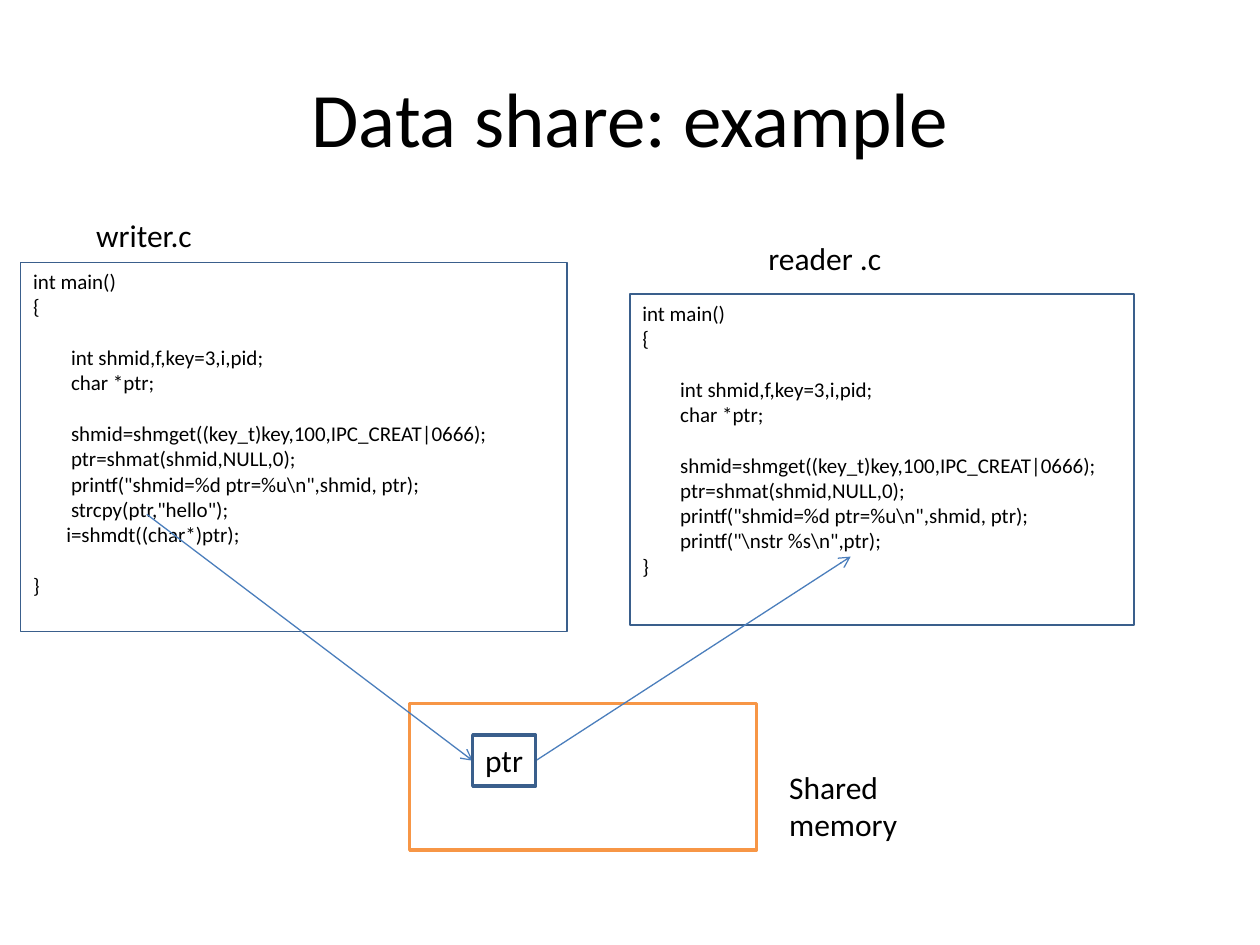
from dataclasses import dataclass

from lxml.etree import SubElement
from pptx import Presentation
from pptx.dml.color import RGBColor
from pptx.enum.shapes import MSO_CONNECTOR, MSO_SHAPE
from pptx.enum.text import MSO_ANCHOR, PP_ALIGN
from pptx.oxml.ns import qn
from pptx.util import Cm, Pt


@dataclass(frozen=True)
class Theme:
    font: str = "Calibri"
    ink: str = "000000"
    paper: str = "FFFFFF"
    frame: str = "3A5F8C"
    memory: str = "F79646"
    arrow: str = "4B7EBC"
    title_size: int = 44
    label_size: int = 18
    code_size: int = 12
    blank_line: float = 14.65
    thin: float = 0.75
    thick: float = 2


THEME = Theme()

# Content: an empty string marks a blank line of code
TITLE = "Data share: example"
COMMON_CODE = [
    "int main()",
    "{",
    "",
    "        int shmid,f,key=3,i,pid;",
    "        char *ptr;",
    "",
    "        shmid=shmget((key_t)key,100,IPC_CREAT|0666);",
    "        ptr=shmat(shmid,NULL,0);",
    '        printf("shmid=%d ptr=%u\\n",shmid, ptr);',
]
WRITER_CODE = COMMON_CODE + [
    '        strcpy(ptr,"hello");',
    "       i=shmdt((char*)ptr);",
    "",
    "}",
]
READER_CODE = COMMON_CODE + ['        printf("\\nstr %s\\n",ptr);', "}"]

# Places in centimetres: left, top, width, height
TITLE_AREA = (1.27, 0.76, 22.86, 3.18)
PROGRAMS = [
    (WRITER_CODE, (0.42, 5.29, 11.01, 7.44)),
    (READER_CODE, (12.7, 5.93, 10.16, 6.67)),
]
FILE_LABELS = [
    ("writer.c", (1.69, 4.23, 4.23, 1.03)),
    ("reader .c", (15.24, 4.7, 4.23, 1.03)),
]
MEMORY_AREA = (8.26, 14.18, 6.99, 2.96)
MEMORY_LABEL = ("Shared memory", (15.66, 15.35, 3.81, 1.8))
POINTER_AREA = (9.53, 14.82, 1.27, 1.03)
POINTER_LABEL = ("ptr", (9.53, 14.82, 3.18, 1.03))
WRITE_START = (2.96, 10.37)
READ_END = (17.15, 11.22)


def color(value):
    return RGBColor.from_string(value)


def write(shape, lines, size=THEME.label_size, align=PP_ALIGN.LEFT, anchor=MSO_ANCHOR.TOP):
    """Fill a shape with lines; blank lines become space before the next line."""
    frame = shape.text_frame
    frame.word_wrap = True
    frame.vertical_anchor = anchor
    para, gap = None, 0
    for line in lines:
        if not line:
            gap += THEME.blank_line
            continue
        para = frame.add_paragraph() if para else frame.paragraphs[0]
        para.alignment = align
        if gap:
            para.space_before = Pt(gap)
        span = para.add_run()
        span.text = line
        span.font.name = THEME.font
        span.font.size = Pt(size)
        span.font.color.rgb = color(THEME.ink)
        gap = 0


def add_label(page, text, area):
    write(page.shapes.add_textbox(*map(Cm, area)), [text])


def add_box(page, area, line, width, fill=None):
    box = page.shapes.add_shape(MSO_SHAPE.RECTANGLE, *map(Cm, area))
    box.shadow.inherit = False
    if fill:
        box.fill.solid()
        box.fill.fore_color.rgb = color(fill)
    else:
        box.fill.background()
    box.line.color.rgb = color(line)
    box.line.width = Pt(width)
    return box


def add_arrow(page, start, end):
    arrow = page.shapes.add_connector(MSO_CONNECTOR.STRAIGHT, *map(Cm, start + end))
    arrow.line.color.rgb = color(THEME.arrow)
    arrow.line.width = Pt(THEME.thin)
    SubElement(arrow.line._get_or_add_ln(), qn("a:tailEnd"), type="arrow")
    SubElement(arrow._element.spPr, qn("a:effectLst"))


def main():
    deck = Presentation()
    deck.slide_width, deck.slide_height = Cm(25.4), Cm(19.05)
    page = deck.slides.add_slide(deck.slide_layouts.get_by_name("Title Only"))

    # Title
    title = page.shapes.title
    title.left, title.top, title.width, title.height = map(Cm, TITLE_AREA)
    write(title, [TITLE], size=THEME.title_size, align=PP_ALIGN.CENTER, anchor=MSO_ANCHOR.MIDDLE)

    # Programs and their file names
    for code, area in PROGRAMS:
        write(add_box(page, area, THEME.frame, THEME.thin), code, size=THEME.code_size)
    for text, area in FILE_LABELS:
        add_label(page, text, area)

    # Shared memory with the pointer inside
    add_box(page, MEMORY_AREA, THEME.memory, THEME.thick, fill=THEME.paper)
    add_label(page, *POINTER_LABEL)

    # Arrows meet the pointer box halfway up its sides
    left, top, width, height = POINTER_AREA
    middle = top + height / 2
    add_arrow(page, WRITE_START, (left, middle))
    add_arrow(page, (left + width, middle), READ_END)

    add_box(page, POINTER_AREA, THEME.frame, THEME.thick)
    add_label(page, *MEMORY_LABEL)

    deck.save("out.pptx")


if __name__ == "__main__":
    main()
